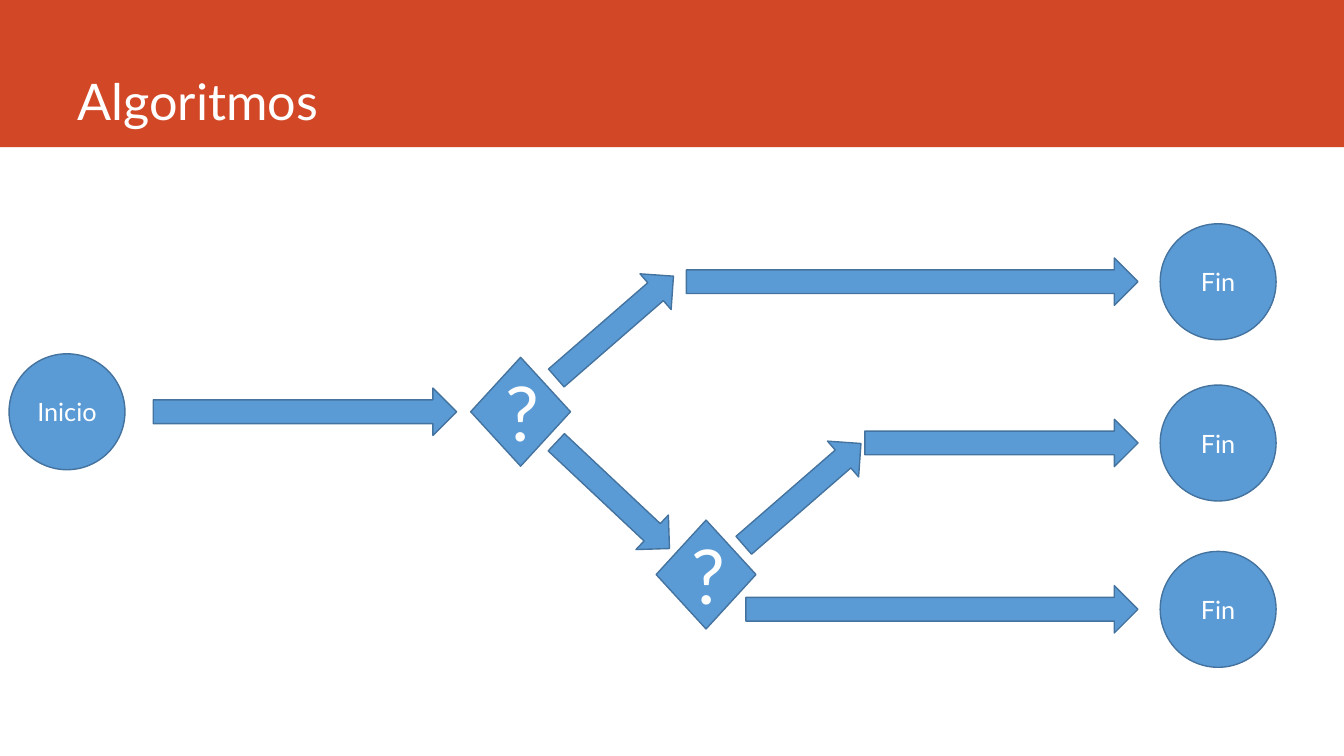
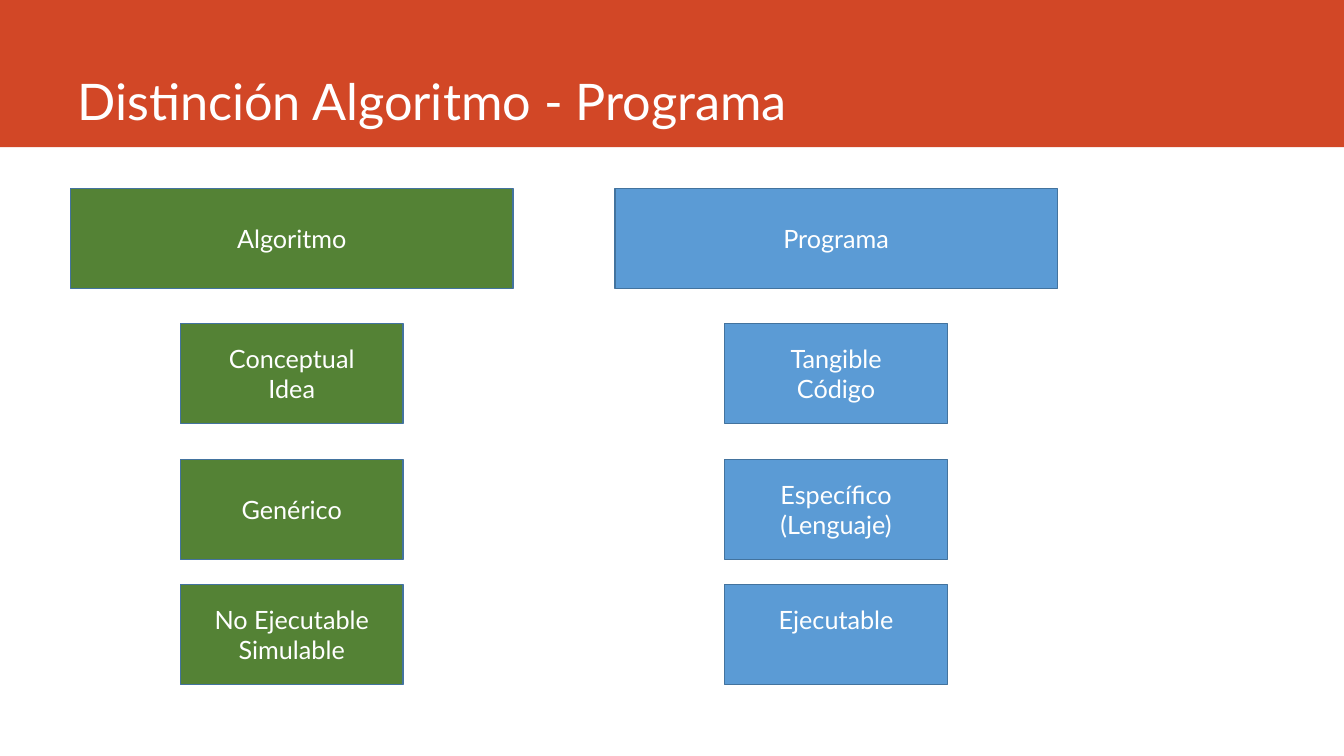
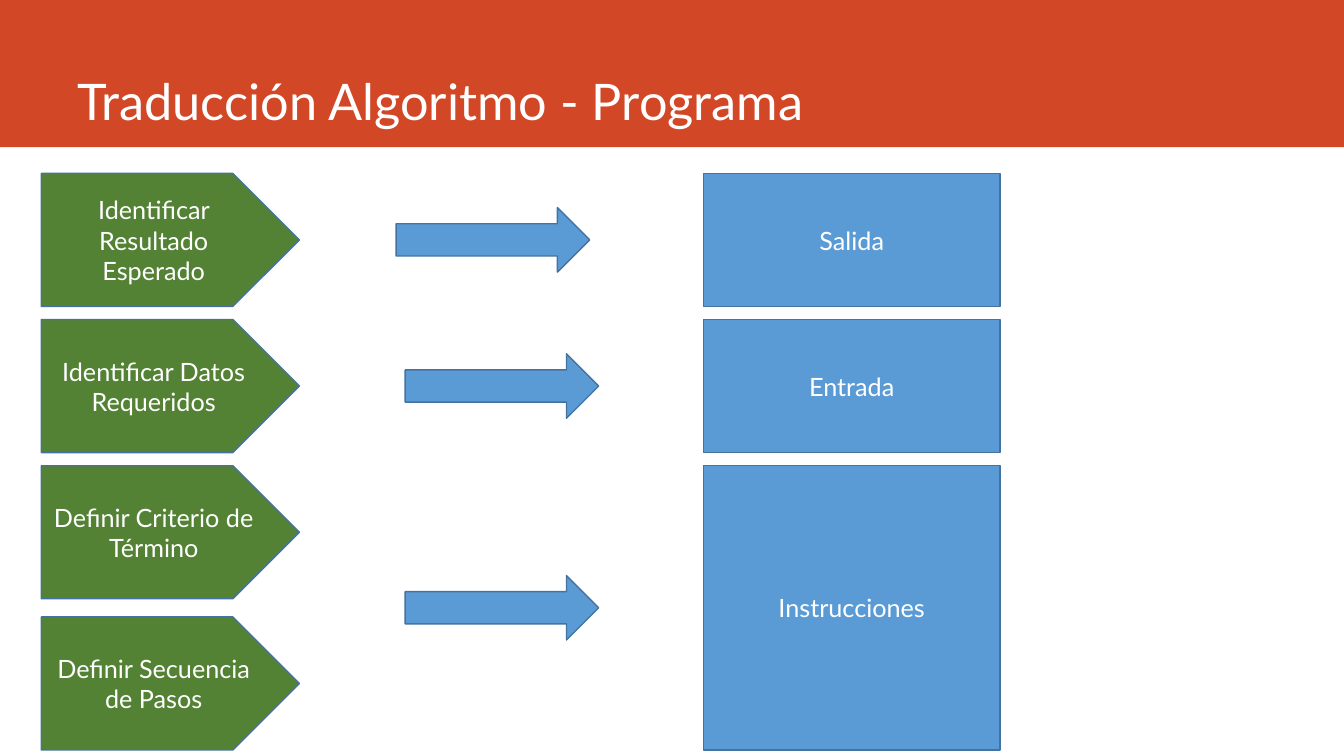
from dataclasses import dataclass

from pptx import Presentation
from pptx.dml.color import RGBColor
from pptx.enum.shapes import MSO_SHAPE
from pptx.enum.text import MSO_ANCHOR, PP_ALIGN
from pptx.util import Inches, Pt

COLS, ROWS = 160, 90
WIDE, HIGH = Inches(13.33), Inches(7.5)


@dataclass(frozen=True)
class Theme:
    font: str = "Lato"
    band: RGBColor = RGBColor(0xD2, 0x47, 0x26)
    blue: RGBColor = RGBColor(0x5B, 0x9B, 0xD5)
    green: RGBColor = RGBColor(0x54, 0x82, 0x35)
    edge: RGBColor = RGBColor(0x43, 0x73, 0x9E)
    white: RGBColor = RGBColor(0xFF, 0xFF, 0xFF)
    title: int = 36
    mark: int = 54
    body: int = 18
    line: int = 1


THEME = Theme()


@dataclass(frozen=True)
class Box:
    """A region measured in columns and rows of the slide grid."""
    x: float
    y: float
    w: float
    h: float

    def cell(self, x, y, w, h):
        return Box(self.x + x, self.y + y, w, h)

    def mid(self, x, y, w, h):
        """A cell of the given size, centred on a point."""
        return self.cell(x - w / 2, y - h / 2, w, h)

    def place(self):
        col, row = WIDE / COLS, HIGH / ROWS
        return (round(self.x * col), round(self.y * row),
                round(self.w * col), round(self.h * row))


BAND = Box(0, 0, COLS, 17.52)
BODY = Box(0, BAND.h, COLS, ROWS - BAND.h)


def write(frame, lines, size, align, anchor):
    frame.word_wrap = True
    frame.vertical_anchor = anchor
    for i, line in enumerate(lines):
        para = frame.paragraphs[0] if i == 0 else frame.add_paragraph()
        para.alignment = align
        run = para.add_run()
        run.text = line
        run.font.name = THEME.font
        run.font.size = Pt(size)
        run.font.color.rgb = THEME.white


def draw(slide, kind, box, fill=THEME.blue, lines=(), size=THEME.body,
         edge=True, turn=0):
    shape = slide.shapes.add_shape(kind, *box.place())
    shape.shadow.inherit = False
    shape.rotation = turn
    shape.fill.solid()
    shape.fill.fore_color.rgb = fill
    if edge:
        shape.line.color.rgb = THEME.edge
        shape.line.width = Pt(THEME.line)
    else:
        shape.line.fill.background()
    write(shape.text_frame, lines, size, PP_ALIGN.CENTER, MSO_ANCHOR.MIDDLE)
    return shape


def head(slide, box, title):
    draw(slide, MSO_SHAPE.RECTANGLE, box, THEME.band, edge=False)
    label = slide.shapes.add_textbox(*box.cell(8.04, 0, 141, 16.08).place())
    write(label.text_frame, [title], THEME.title, PP_ALIGN.LEFT,
          MSO_ANCHOR.BOTTOM)


def flow(slide, box):
    """Decision flow from one start to three ends."""
    disc, thick, tip = 13.8, 5.64, 135.48
    start, ends = 31.5, (16.02, 35.22, 55.02)

    def arrow(left, right, y):
        draw(slide, MSO_SHAPE.RIGHT_ARROW,
             box.mid((left + right) / 2, y, right - left, thick))

    def node(x, y, text):
        draw(slide, MSO_SHAPE.OVAL, box.mid(x, y, disc, disc), lines=[text])

    node(7.98, start, "Inicio")
    arrow(18.24, 54.36, start)
    for x, y in ((61.98, start), (84.06, 50.88)):
        draw(slide, MSO_SHAPE.FLOWCHART_DECISION, box.mid(x, y, 11.88, 12.96),
             lines=["?"], size=THEME.mark)
    for x, y, turn in ((73.2, 21.42, 319), (72.96, 41.46, 43.2),
                       (95.52, 41.34, 319)):
        draw(slide, MSO_SHAPE.RIGHT_ARROW, box.mid(x, y, 18.48, thick),
             turn=turn)
    for left, y in zip((81.72, 102.96, 88.8), ends):
        arrow(left, tip, y)
        node(145.02, y, "Fin")


def stack(slide, box, fill, items):
    """A wide heading with narrower cells centred under it."""
    tall, slim = 11.88, 26.52
    for i, (top, lines) in enumerate(zip((0, 16.08, 32.28, 47.16), items)):
        wide = slim if i else box.w
        item = draw(slide, MSO_SHAPE.RECTANGLE,
                    box.cell((box.w - wide) / 2, top, wide, tall),
                    fill, lines)
        if lines == ["Ejecutable"]:
            item.text_frame.margin_bottom = Inches(0.35)


def match(slide, box):
    """Steps on the left, each led by an arrow to a program item."""
    tall, tops = 15.84, (0, 17.4, 34.8, 52.8)
    steps = ("Identificar Resultado Esperado", "Identificar Datos Requeridos",
             "Definir Criterio de Término", "Definir Secuencia de Pasos")
    for top, step in zip(tops, steps):
        draw(slide, MSO_SHAPE.PENTAGON, box.cell(0, top, 30.72, tall),
             THEME.green, [step])
    items = (("Salida", 0, 0, 42.24), ("Entrada", 1, 1, 43.32),
             ("Instrucciones", 2, 3, 43.32))
    for name, first, last, left in items:
        top, span = tops[first], tops[last] + tall - tops[first]
        draw(slide, MSO_SHAPE.RECTANGLE, box.cell(78.84, top, 35.28, span),
             lines=[name])
        draw(slide, MSO_SHAPE.RIGHT_ARROW,
             box.cell(left, top + span / 2 - 3.84, 23.04, 7.68))


def pair(slide, box):
    wide, tall = 52.68, 59.04
    stack(slide, box.cell(8.4, 4.92, wide, tall), THEME.green,
          [["Algoritmo"], ["Conceptual", "Idea"], ["Genérico"],
           ["No Ejecutable", "Simulable"]])
    stack(slide, box.cell(73.2, 4.92, wide, tall), THEME.blue,
          [["Programa"], ["Tangible", "Código"],
           ["Específico", "(Lenguaje)"], ["Ejecutable"]])


def main():
    deck = Presentation()
    deck.slide_width, deck.slide_height = WIDE, HIGH
    pages = (("Algoritmos", flow, BODY),
             ("Distinción Algoritmo - Programa", pair, BODY),
             ("Traducción Algoritmo - Programa", match,
              BODY.cell(4.92, 3.12, 114.12, 68.64)))
    for title, fill, box in pages:
        slide = deck.slides.add_slide(deck.slide_layouts[6])
        head(slide, BAND, title)
        fill(slide, box)
    deck.save("out.pptx")


if __name__ == "__main__":
    main()
